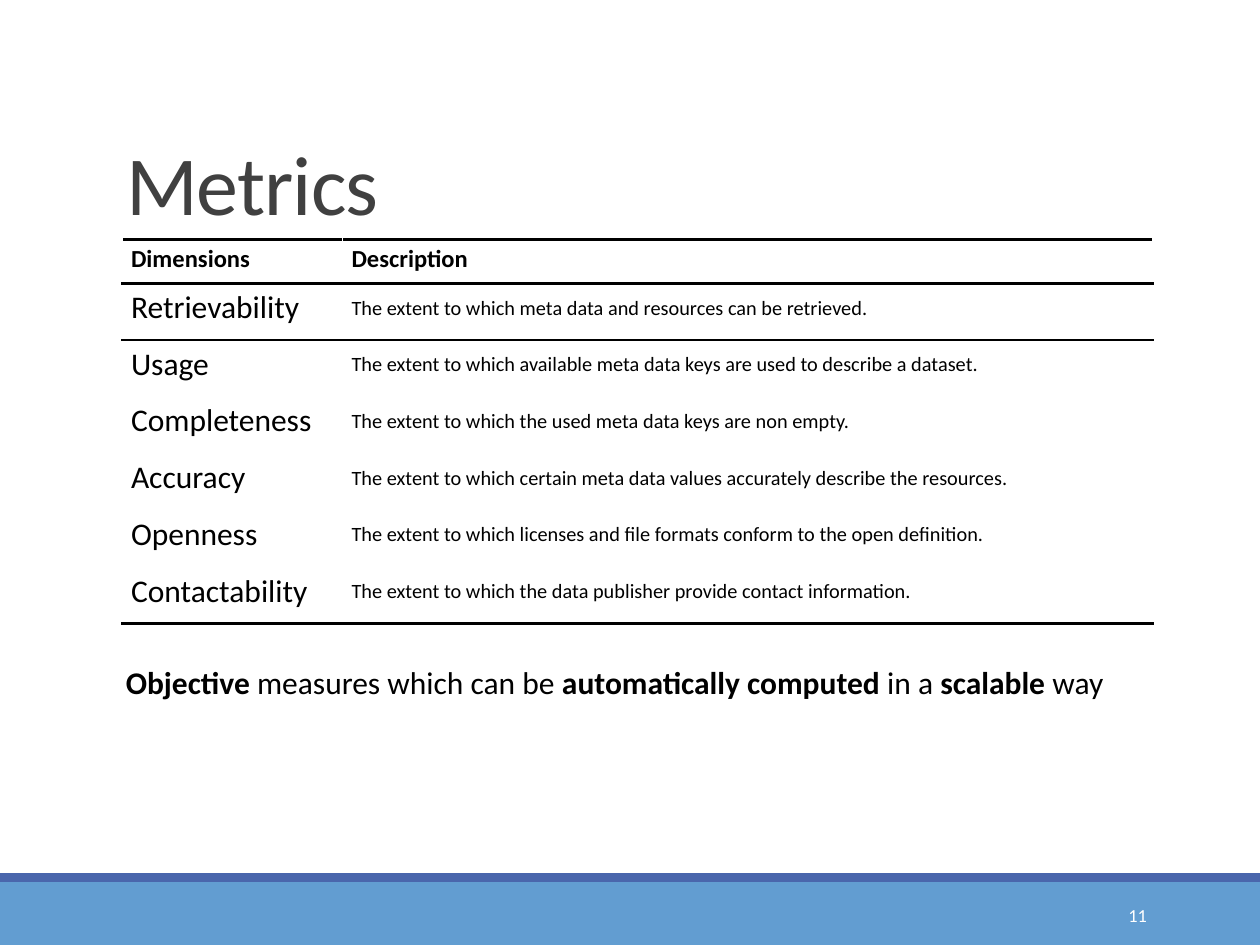
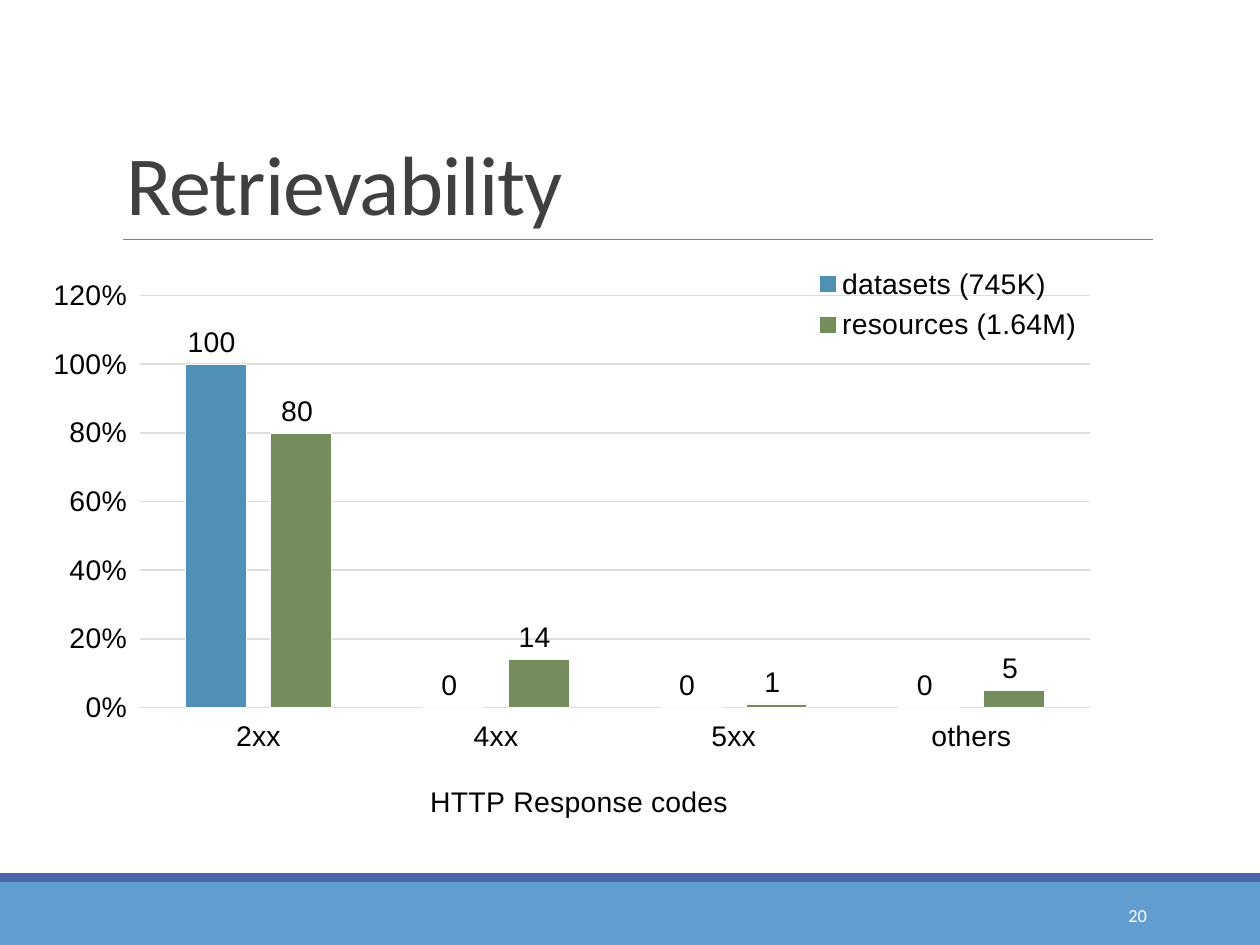
"""Build two slides on metadata quality: a metrics table and a retrievability chart."""
from dataclasses import dataclass
from typing import Any

from lxml.etree import SubElement
from pptx import Presentation
from pptx.chart.data import CategoryChartData
from pptx.dml.color import RGBColor
from pptx.enum.chart import XL_CHART_TYPE, XL_LABEL_POSITION, XL_LEGEND_POSITION, XL_TICK_MARK
from pptx.enum.shapes import MSO_CONNECTOR, MSO_SHAPE
from pptx.enum.text import MSO_ANCHOR, MSO_AUTO_SIZE, PP_ALIGN
from pptx.oxml import parse_xml
from pptx.oxml.ns import nsdecls, qn
from pptx.util import Emu, Pt

PX = 9144

WHITE = RGBColor(0xFF, 0xFF, 0xFF)
BLACK = RGBColor(0x00, 0x00, 0x00)
TITLE_GREY = RGBColor(0x40, 0x40, 0x40)
RULE_GREY = RGBColor(0x80, 0x80, 0x80)
GRID_GREY = RGBColor(0xDD, 0xDD, 0xDD)
BAR_EDGE = RGBColor(0xF9, 0xF9, 0xF9)
FOOTER_BLUE = RGBColor(0x62, 0x9D, 0xD1)
STRIPE_BLUE = RGBColor(0x4A, 0x66, 0xAC)
DATASET_BLUE = RGBColor(0x50, 0x90, 0xB7)
RESOURCE_GREEN = RGBColor(0x75, 0x8D, 0x5E)

BODY_FONT = "Calibri"
CHART_FONT = "Arial"
CHART_SIZE = 16.2


@dataclass(frozen=True)
class Box:
    """Position and size in px."""
    x: int
    y: int
    w: int
    h: int

    def emu(self) -> tuple[Emu, Emu, Emu, Emu]:
        """Return left, top, width and height in EMU."""
        return px(self.x), px(self.y), px(self.w), px(self.h)


@dataclass(frozen=True)
class Band:
    """A filled footer band."""
    box: Box
    color: RGBColor


@dataclass(frozen=True)
class Metric:
    """One row of the metrics table."""
    name: str
    description: str


@dataclass(frozen=True)
class Series:
    """One series of the response chart."""
    name: str
    values: tuple[int, ...]
    color: RGBColor


BANDS = (
    Band(Box(0, 700, 1000, 50), FOOTER_BLUE),
    Band(Box(0, 693, 1000, 7), STRIPE_BLUE),
)
TITLE_BOX = Box(90, 31, 825, 159)
NUMBER_BOX = Box(812, 706, 108, 40)

METRICS = (
    Metric("Retrievability", "The extent to which meta data and resources can be retrieved."),
    Metric("Usage", "The extent to which available meta data keys are used to describe a dataset."),
    Metric("Completeness", "The extent to which the used meta data keys are non empty."),
    Metric("Accuracy", "The extent to which certain meta data values accurately describe the resources."),
    Metric("Openness", "The extent to which licenses and file formats conform to the open definition."),
    Metric("Contactability", "The extent to which the data publisher provide contact information."),
)
ROW_RULES = {0: 2.25, 1: 1.5, 2: 1.5, len(METRICS) + 1: 2.25}

SUMMARY = (
    ("Objective", True),
    (" measures which can be ", False),
    ("automatically computed ", True),
    ("in a ", False),
    ("scalable", True),
    (" way", False),
)

RESPONSE_CODES = ("2xx", "4xx", "5xx", "others")
RESPONSES = (
    Series("datasets (745K)", (100, 0, 0, 0), DATASET_BLUE),
    Series("resources (1.64M)", (80, 14, 1, 5), RESOURCE_GREEN),
)


def px(n: int) -> Emu:
    """Turn px into EMU."""
    return Emu(n * PX)


def style(font: Any, size: float, color: RGBColor = BLACK, bold: bool = False,
          name: str = BODY_FONT) -> None:
    """Set the face, size, colour and weight of a font."""
    font.name = name
    font.size = Pt(size)
    font.bold = bold
    font.color.rgb = color


def add_band(s: Any, band: Band) -> None:
    """Draw one footer band."""
    sp = s.shapes.add_shape(MSO_SHAPE.RECTANGLE, *band.box.emu())
    sp.shadow.inherit = False
    sp.fill.solid()
    sp.fill.fore_color.rgb = band.color
    sp.line.fill.background()


def add_title_rule(s: Any) -> None:
    """Draw the thin line below the title."""
    line = s.shapes.add_connector(MSO_CONNECTOR.STRAIGHT, px(98), px(190), px(915), px(190))
    line.line.color.rgb = RULE_GREY
    line.line.width = Pt(0.5)
    SubElement(line._element.spPr, qn("a:effectLst"))


def set_title(s: Any, text: str) -> None:
    """Place and format the title placeholder."""
    sp = s.shapes.title
    sp.left, sp.top, sp.width, sp.height = TITLE_BOX.emu()
    tf = sp.text_frame
    tf.text = text
    tf.auto_size = MSO_AUTO_SIZE.NONE
    tf.vertical_anchor = MSO_ANCHOR.BOTTOM
    p = tf.paragraphs[0]
    p.alignment = PP_ALIGN.LEFT
    p.line_spacing = 0.85
    r = p.runs[0]
    style(r.font, 48, TITLE_GREY)
    r._r.get_or_add_rPr().set("spc", "-50")


def add_page_number(s: Any, number: int) -> None:
    """Write the page number on the footer."""
    tf = s.shapes.add_textbox(*NUMBER_BOX.emu()).text_frame
    tf.word_wrap = True
    tf.vertical_anchor = MSO_ANCHOR.MIDDLE
    tf.text = str(number)
    p = tf.paragraphs[0]
    p.alignment = PP_ALIGN.RIGHT
    style(p.runs[0].font, 10.5, WHITE)


def new_slide(prs: Any, title: str, number: int) -> Any:
    """Add a slide with the shared frame."""
    s = prs.slides.add_slide(prs.slide_layouts[5])
    for band in BANDS:
        add_band(s, band)
    add_title_rule(s)
    set_title(s, title)
    add_page_number(s, number)
    return s


def set_borders(cell: Any, row: int) -> None:
    """Give a cell white sides and the rules of its row."""
    tc_pr = cell._tc.get_or_add_tcPr()
    edges = (("lnL", None), ("lnR", None),
             ("lnT", ROW_RULES.get(row)), ("lnB", ROW_RULES.get(row + 1)))
    for i, (tag, rule) in enumerate(edges):
        color = BLACK if rule else WHITE
        tc_pr.insert(i, parse_xml(
            f'<a:{tag} {nsdecls("a")} w="{Pt(rule or 1)}"><a:solidFill>'
            f'<a:srgbClr val="{color}"/></a:solidFill></a:{tag}>'))


def fill_cell(cell: Any, text: str, row: int, size: float) -> Any:
    """Write a cell and return its run."""
    cell.margin_left = cell.margin_right = px(7)
    cell.margin_top = cell.margin_bottom = px(4)
    cell.fill.background()
    set_borders(cell, row)
    cell.text_frame.text = text
    r = cell.text_frame.paragraphs[0].runs[0]
    style(r.font, size, bold=row == 0)
    return r


def add_metrics_table(s: Any) -> None:
    """Draw the table of metrics."""
    box = Box(97, 190, 818, 305)
    table = s.shapes.add_table(len(METRICS) + 1, 2, *box.emu()).table
    table.first_row = table.horz_banding = False
    table.columns[0].width, table.columns[1].width = px(175), px(643)
    for i, row in enumerate(table.rows):
        row.height = px(45 if i else 35)
    for col, heading in enumerate(("Dimensions", "Description")):
        fill_cell(table.cell(0, col), heading, 0, 14)
    for i, metric in enumerate(METRICS, 1):
        fill_cell(table.cell(i, 0), metric.name, i, 18)
        cell = table.cell(i, 1)
        r = fill_cell(cell, metric.description, i, 20)
        r._r.get_or_add_rPr().set("baseline", "30000")
        cell.vertical_anchor = MSO_ANCHOR.BOTTOM


def add_summary(s: Any) -> None:
    """Write the sentence below the table."""
    tf = s.shapes.add_textbox(*Box(90, 521, 804, 40).emu()).text_frame
    tf.word_wrap = False
    tf.auto_size = MSO_AUTO_SIZE.SHAPE_TO_FIT_TEXT
    p = tf.paragraphs[0]
    for text, bold in SUMMARY:
        r = p.add_run()
        r.text = text
        style(r.font, 18, bold=bold)


def set_layout(parent: Any, index: int, inner: bool = False, **place: float) -> None:
    """Place a chart part by fractions of the chart area."""
    for old in parent.findall(qn("c:layout")):
        parent.remove(old)
    target = '<c:layoutTarget val="inner"/>' if inner else ""
    modes = "".join(f'<c:{k}Mode val="edge"/>' for k in ("x", "y"))
    values = "".join(f'<c:{k} val="{v}"/>' for k, v in place.items())
    parent.insert(index, parse_xml(
        f'<c:layout {nsdecls("c")}><c:manualLayout>{target}{modes}{values}'
        '</c:manualLayout></c:layout>'))


def style_series(series: Any, color: RGBColor) -> None:
    """Colour one series and label its bars."""
    series.format.fill.solid()
    series.format.fill.fore_color.rgb = color
    series.format.line.color.rgb = BAR_EDGE
    series.format.line.width = Pt(0.75)
    labels = series.data_labels
    labels.show_value = True
    labels.position = XL_LABEL_POSITION.OUTSIDE_END
    labels.number_format = r"#,##0_);\(#,##0\)"
    labels.number_format_is_linked = False
    style(labels.font, CHART_SIZE, name=CHART_FONT)


def add_response_chart(s: Any) -> None:
    """Draw the chart of HTTP response codes."""
    data = CategoryChartData()
    data.categories = RESPONSE_CODES
    for series in RESPONSES:
        data.add_series(series.name, series.values)
    chart = s.shapes.add_chart(
        XL_CHART_TYPE.COLUMN_CLUSTERED, *Box(27, 202, 839, 467).emu(), data).chart
    chart.has_title = False
    style(chart.font, CHART_SIZE, name=CHART_FONT)

    plot = chart.plots[0]
    plot.vary_by_categories = False
    plot.gap_width, plot.overlap = 150, -40
    for drawn, series in zip(plot.series, RESPONSES):
        style_series(drawn, series.color)

    codes, percent = chart.category_axis, chart.value_axis
    for axis in (codes, percent):
        axis.major_tick_mark = XL_TICK_MARK.OUTSIDE
        axis.format.line.fill.background()
        style(axis.tick_labels.font, CHART_SIZE, name=CHART_FONT)
    percent.minimum_scale, percent.maximum_scale, percent.major_unit = 0, 120, 20
    percent.tick_labels.number_format = '0"%"'
    percent.tick_labels.number_format_is_linked = False
    percent.major_gridlines.format.line.color.rgb = GRID_GREY
    percent.major_gridlines.format.line.width = Pt(1)

    tf = codes.axis_title.text_frame
    tf.text = "HTTP Response codes"
    style(tf.paragraphs[0].runs[0].font, CHART_SIZE, name=CHART_FONT)
    set_layout(codes.axis_title._element, 1, x=0.37, y=0.89)

    chart.has_legend = True
    chart.legend.position = XL_LEGEND_POSITION.RIGHT
    chart.legend.include_in_layout = True
    style(chart.legend.font, CHART_SIZE, name=CHART_FONT)
    set_layout(chart.legend._element, 1, x=0.73, y=0.01, w=0.27, h=0.15)
    set_layout(chart._chartSpace.chart.plotArea, 0, inner=True, x=0.1, y=0.07, w=0.9, h=0.7)


def main() -> None:
    """Build and save the slides."""
    prs = Presentation()
    prs.slide_width, prs.slide_height = px(1000), px(750)
    s = new_slide(prs, "Metrics", 11)
    add_metrics_table(s)
    add_summary(s)
    s = new_slide(prs, "Retrievability", 20)
    add_response_chart(s)
    prs.save("out.pptx")


if __name__ == "__main__":
    main()
